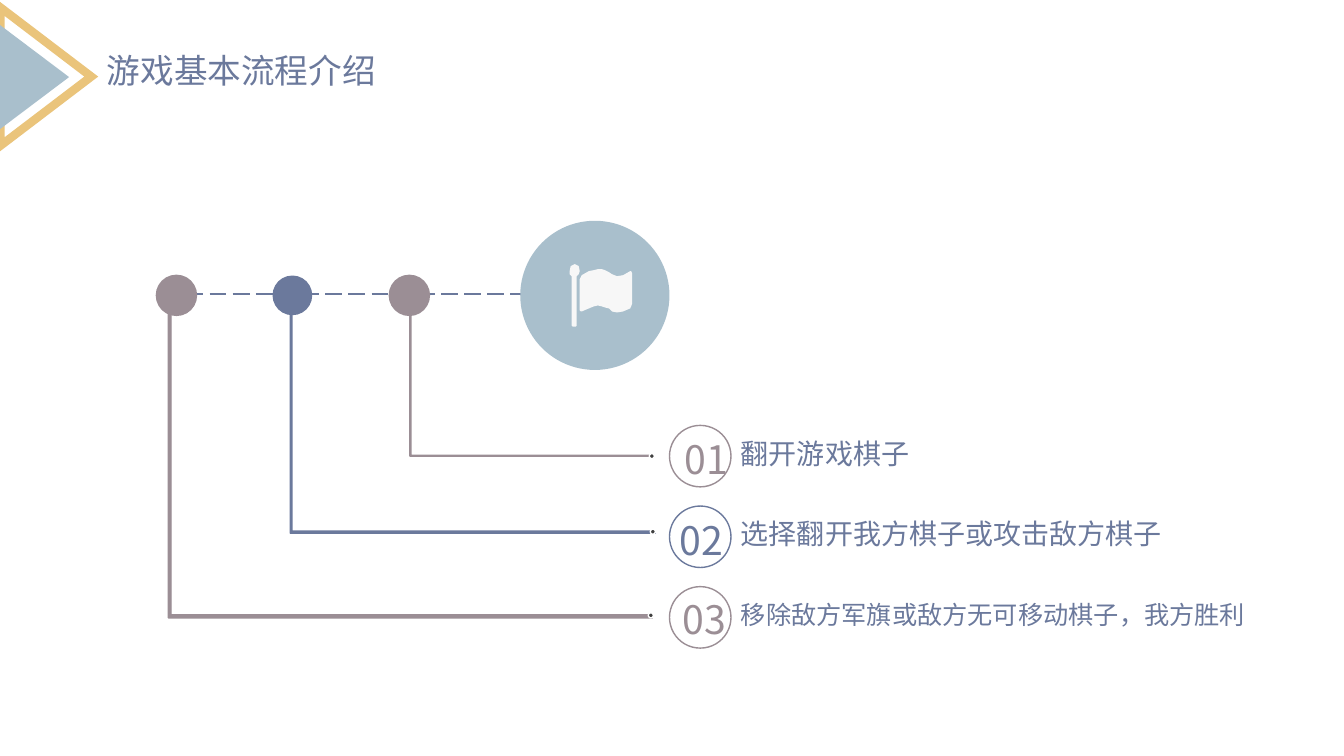
from lxml import etree
from pptx import Presentation
from pptx.dml.color import RGBColor
from pptx.enum.dml import MSO_LINE
from pptx.enum.shapes import MSO_CONNECTOR, MSO_SHAPE as SHAPE
from pptx.enum.text import MSO_ANCHOR, PP_ALIGN
from pptx.oxml.ns import qn
from pptx.util import Inches, Pt

BLUE = RGBColor(0x6B, 0x79, 0x9C)
MAUVE = RGBColor(0x9B, 0x8E, 0x95)
PALE_BLUE = RGBColor(0xA9, 0xBF, 0xCC)
GOLD = RGBColor(0xEA, 0xC4, 0x7B)
DARK = RGBColor(0x40, 0x40, 0x40)
WHITE = RGBColor(0xFF, 0xFF, 0xFF)
OFF_WHITE = RGBColor(0xF7, 0xF7, 0xF7)
FONT = "Noto Sans CJK SC"

prs = Presentation()
prs.slide_width, prs.slide_height = Inches(13.33), Inches(7.5)
s = prs.slides.add_slide(prs.slide_layouts[5])


def add_shape(kind, box, fill=None, line=None, width=1, rotation=0):
    sp = s.shapes.add_shape(kind, *[Inches(v) for v in box])
    sp.shadow.inherit = False
    sp.rotation = rotation
    if fill is None:
        sp.fill.background()
    else:
        sp.fill.solid()
        sp.fill.fore_color.rgb = fill
    if line is None:
        sp.line.fill.background()
    else:
        sp.line.color.rgb = line
        sp.line.width = Pt(width)
    return sp


def write_text(sp, box, text, size, color):
    sp.left, sp.top, sp.width, sp.height = [Inches(v) for v in box]
    tf = sp.text_frame
    tf.word_wrap = True
    tf.vertical_anchor = MSO_ANCHOR.TOP
    tf.text = text
    p = tf.paragraphs[0]
    p.alignment = PP_ALIGN.LEFT
    r = p.runs[0]
    r.font.name = FONT
    r.font.size = Pt(size)
    r.font.color.rgb = color
    etree.SubElement(r.font._element, qn("a:ea"), typeface=FONT)


# Title and corner triangles
write_text(s.shapes.title, (0.96, 0.44, 2.92, 0.5), "游戏基本流程介绍", 24, BLUE)
frame = add_shape(SHAPE.ISOSCELES_TRIANGLE, (-0.23, 0.31, 1.37, 0.9),
                  line=GOLD, width=6, rotation=90)
etree.SubElement(frame.line._get_or_add_ln(), qn("a:miter"), lim="800000")
add_shape(SHAPE.ISOSCELES_TRIANGLE, (-0.18, 0.42, 1.04, 0.69), PALE_BLUE, rotation=90)

# Dashed timeline
timeline = s.shapes.add_connector(MSO_CONNECTOR.STRAIGHT, Inches(1.62), Inches(2.92),
                                  Inches(5.54), Inches(2.92))
timeline.line.color.rgb = BLUE
timeline.line.width = Pt(1.5)
timeline.line.dash_style = MSO_LINE.LONG_DASH
etree.SubElement(timeline._element.spPr, qn("a:effectLst"))

# Goal circle with flag
add_shape(SHAPE.OVAL, (5.16, 2.19, 1.48, 1.48), PALE_BLUE)
pole = [(5.75, 2.69), (5.74, 2.72), (5.72, 2.74), (5.72, 3.23), (5.71, 3.24),
        (5.68, 3.24), (5.67, 3.23), (5.67, 2.74), (5.65, 2.72), (5.65, 2.69),
        (5.66, 2.64), (5.7, 2.62), (5.74, 2.64)]
cloth = [(6.25, 2.69), (6.26, 2.69), (6.27, 2.71), (6.27, 3.01), (6.26, 3.04),
         (6.25, 3.06), (6.18, 3.09), (6.12, 3.1), (6.07, 3.09), (6.04, 3.06),
         (6, 3.05), (5.97, 3.04), (5.93, 3.03), (5.89, 3.04), (5.84, 3.06),
         (5.77, 3.09), (5.76, 3.09), (5.75, 3.08), (5.75, 2.77), (5.76, 2.75),
         (5.77, 2.73), (5.84, 2.69), (5.89, 2.68), (5.93, 2.67), (5.97, 2.67),
         (6, 2.68), (6.04, 2.7), (6.07, 2.72), (6.12, 2.74), (6.18, 2.73)]
pole, cloth = [[(Inches(x), Inches(y)) for x, y in part] for part in (pole, cloth)]
builder = s.shapes.build_freeform(*pole[0])
builder.add_line_segments(pole[1:])
builder.move_to(*cloth[0])
builder.add_line_segments(cloth[1:])
flag = builder.convert_to_shape()
flag.shadow.inherit = False
flag.fill.solid()
flag.fill.fore_color.rgb = OFF_WHITE
flag.line.fill.background()

# Steps: node, elbow, end dot, numbered ring and label
steps = [
    # color, node x, node line, elbow box, elbow adjustments, dot, number box, label box, size, text
    (MAUVE, 3.87, 2.25, (4.55, 2.62, 1.42, 2.39), (0.007, 0.006), (6.44, 4.5),
     (6.69, 4.27, 0.82, 0.57), (7.25, 4.28, 4.84, 0.44), 20, "翻开游戏棋子"),
    (BLUE, 2.71, 1, (3.6, 2.39, 2.18, 3.62), (0.007, 0.01), (6.45, 5.25),
     (6.64, 5.07, 0.67, 0.57), (7.25, 5.08, 4.84, 0.44), 20,
     "选择翻开我方棋子或攻击敌方棋子"),
    (MAUVE, 1.56, 2.25, (2.56, 2.22, 3.02, 4.8), (0.009, 0.01), (6.43, 6.08),
     (6.67, 5.86, 0.82, 0.57), (7.25, 5.9, 5.29, 0.4), 18,
     "移除敌方军旗或敌方无可移动棋子，我方胜利"),
]
for i, (color, node_x, node_line, elbow_box, adj, dot, number_box,
        label_box, size, label) in enumerate(steps):
    add_shape(SHAPE.OVAL, (node_x, 2.74, 0.38, 0.38), color, color, node_line)
    elbow = add_shape(SHAPE.HALF_FRAME, elbow_box, color, color, rotation=270)
    elbow.adjustments[0], elbow.adjustments[1] = adj
    add_shape(SHAPE.OVAL, (*dot, 0.05, 0.05), DARK, WHITE)
    add_shape(SHAPE.OVAL, (6.64, 4.22 + 0.8 * i, 0.61, 0.61), line=color)
    for box, text, pt, text_color in ((number_box, f"{i + 1:02}", 28, color),
                                      (label_box, label, size, BLUE)):
        write_text(s.shapes.add_textbox(0, 0, 0, 0), box, text, pt, text_color)

prs.save("out.pptx")
